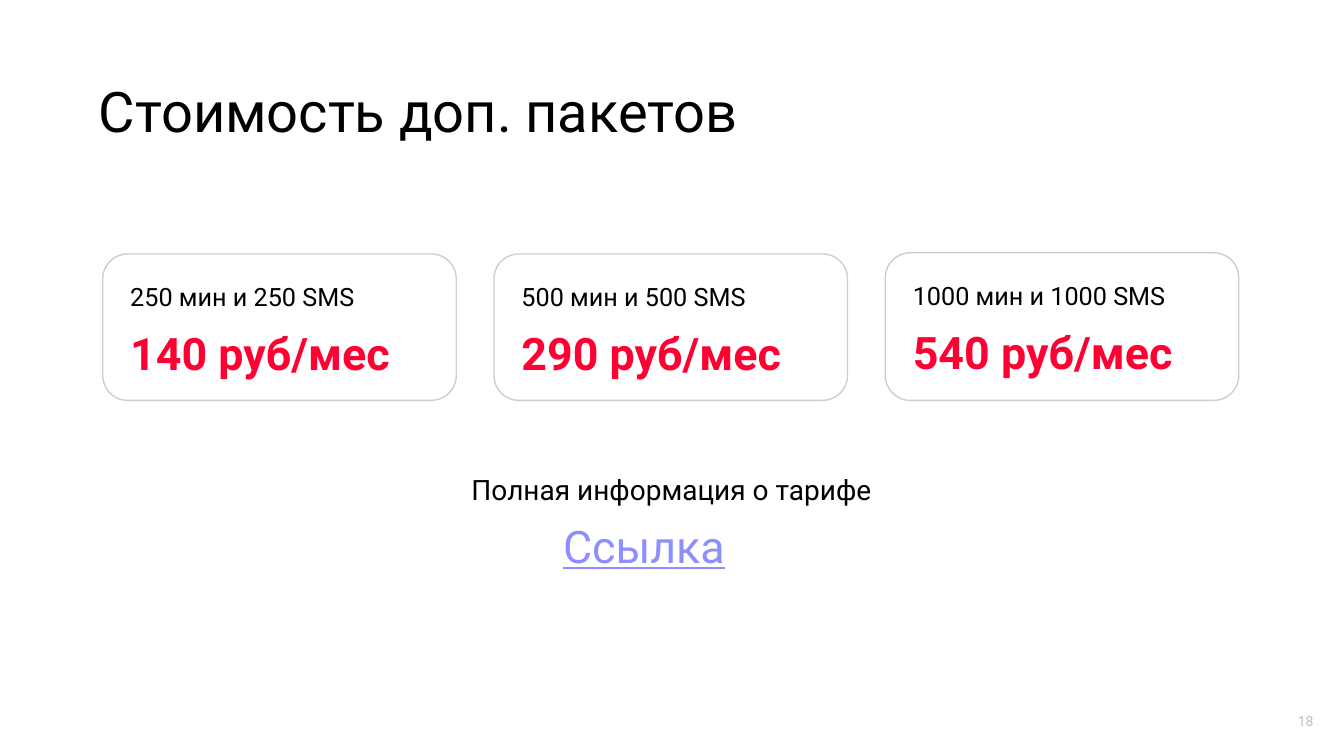
from pptx import Presentation
from pptx.dml.color import RGBColor
from pptx.enum.shapes import MSO_SHAPE
from pptx.enum.text import MSO_ANCHOR, MSO_AUTO_SIZE, PP_ALIGN
from pptx.util import Cm, Pt

TITLE = "Стоимость доп. пакетов"
CARDS = [
    ("250 мин и 250 SMS", "140 руб/мес", 6.4),
    ("500 мин и 500 SMS", "290 руб/мес", 6.4),
    ("1000 мин и 1000 SMS", "540 руб/мес", 6.37),
]
INFO = "Полная информация о тарифе"
LINK = "Ссылка"
NUMBER = "18"

FONT = "Roboto"
BLACK = RGBColor(0x00, 0x00, 0x00)
RED = RGBColor(0xFF, 0x00, 0x32)
BORDER = RGBColor(0xCD, 0xCD, 0xD9)
LILAC = RGBColor(0x8E, 0x8F, 0xFF)
GRAY = RGBColor(0xBF, 0xBF, 0xBF)

CARD_LEFT, CARD_PITCH, CARD_WIDTH, CARD_BOTTOM = 2.59, 9.86, 8.91, 10.09
CARD_INSET = 0.51


def write(p, text, size, color=BLACK, bold=False, underline=False,
          align=PP_ALIGN.LEFT, after=0, spacing=1.0):
    p.alignment = align
    p.space_before = Pt(0)
    p.space_after = Pt(after)
    p.line_spacing = spacing
    r = p.add_run()
    r.text = text
    r.font.name = FONT
    r.font.size = Pt(size)
    r.font.color.rgb = color
    r.font.bold = bold
    r.font.underline = underline


def add_label(s, text, box, size, anchor=MSO_ANCHOR.TOP, **style):
    tf = s.shapes.add_textbox(*map(Cm, box)).text_frame
    tf.word_wrap = True
    tf.vertical_anchor = anchor
    write(tf.paragraphs[0], text, size, **style)


def add_card(s, i, volume, price, top):
    sp = s.shapes.add_shape(
        MSO_SHAPE.ROUNDED_RECTANGLE, Cm(CARD_LEFT + i * CARD_PITCH), Cm(top),
        Cm(CARD_WIDTH), Cm(CARD_BOTTOM - top))
    sp.adjustments[0] = 0.17
    sp.shadow.inherit = False
    sp.fill.background()
    sp.line.color.rgb = BORDER
    sp.line.width = Pt(1)
    tf = sp.text_frame
    tf.word_wrap = True
    tf.vertical_anchor = MSO_ANCHOR.TOP
    tf.margin_left = tf.margin_top = Cm(CARD_INSET)
    tf.margin_right = tf.margin_bottom = 0
    write(tf.paragraphs[0], volume, 18, after=10)
    write(tf.add_paragraph(), price, 32, color=RED, bold=True, after=12)


def main():
    prs = Presentation()
    prs.slide_width, prs.slide_height = Cm(33.87), Cm(19.05)
    s = prs.slides.add_slide(prs.slide_layouts[5])

    title = s.shapes.title
    title.left, title.top, title.width, title.height = map(Cm, (2.24, 1.04, 28.9, 3.68))
    tf = title.text_frame
    tf.auto_size = MSO_AUTO_SIZE.NONE
    tf.vertical_anchor = MSO_ANCHOR.MIDDLE
    write(tf.paragraphs[0], TITLE, 40, spacing=0.9)

    for i, card in enumerate(CARDS):
        add_card(s, i, *card)

    add_label(s, INFO, (10.08, 11.79, 13.69, 1.12), 20, align=PP_ALIGN.CENTER)
    add_label(s, LINK, (13.94, 12.95, 5.51, 1.63), 32, color=LILAC, underline=True)
    add_label(s, NUMBER, (25.73, 17.65, 7.62, 1.02), 10, anchor=MSO_ANCHOR.MIDDLE,
              color=GRAY, align=PP_ALIGN.RIGHT)

    prs.save("out.pptx")


if __name__ == "__main__":
    main()
